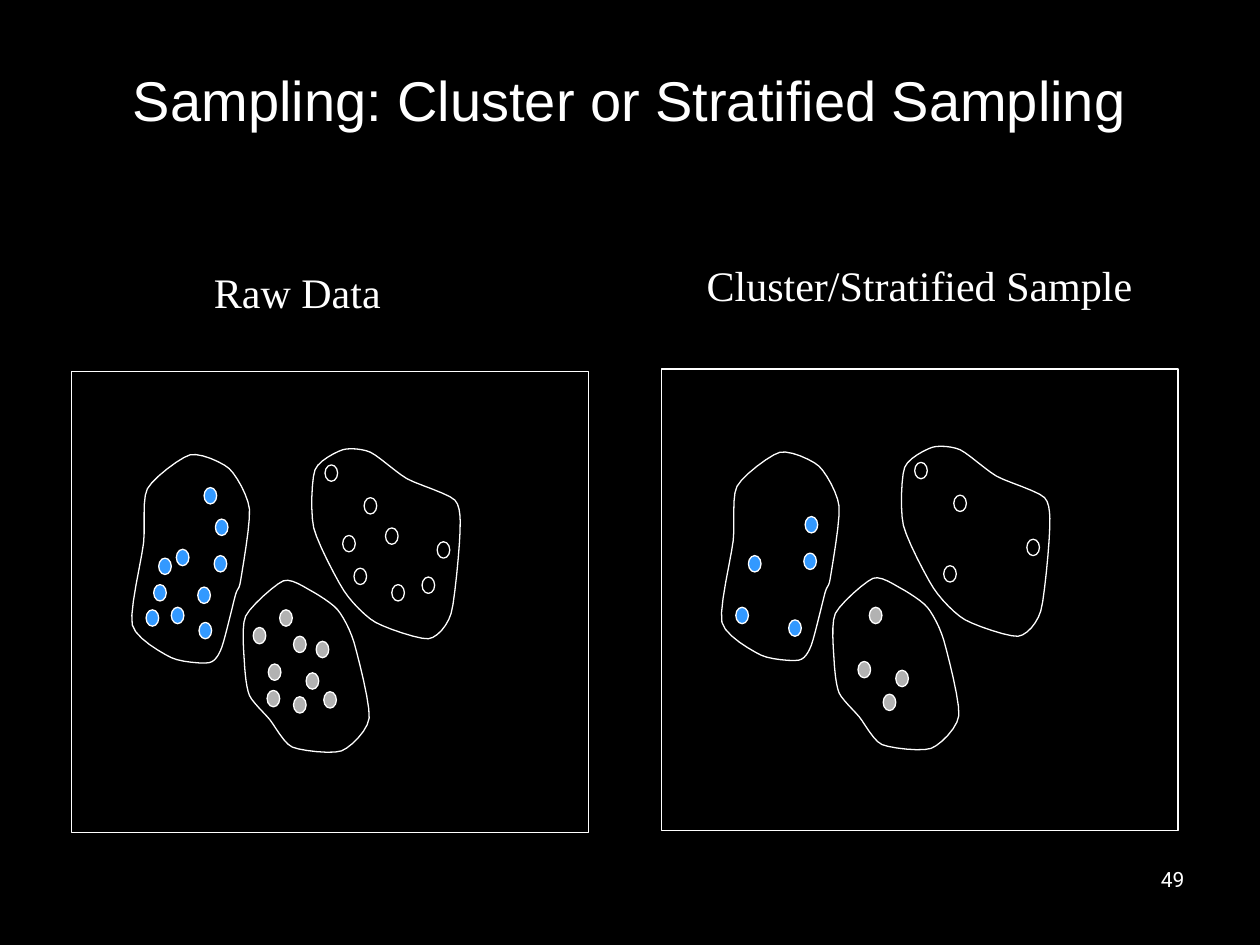
import pptx
import pptx.util
import pptx.dml.color
import pptx.enum.shapes
import pptx.enum.text

Inches = pptx.util.Inches
Kind = pptx.enum.shapes.MSO_SHAPE
Align = pptx.enum.text.PP_ALIGN

COLORS = {"back": "000000", "line": "FFFFFF", "text": "FFFFFF",
          "blue": "3399FF", "gray": "B2B2B2", "black": "000000"}

TITLE = "Sampling: Cluster or Stratified Sampling"
LABELS = [
    ("Raw Data", (1.6, 2.07, 1.6, 0.5), 24, "Times New Roman", Align.LEFT, False),
    ("Cluster/Stratified Sample", (5.51, 2.01, 3.58, 0.5), 24, "Times New Roman", Align.LEFT, False),
    ("49", (7.17, 6.83, 2.33, 0.5), 12, "Roboto", Align.RIGHT, True),
]
FRAME = (0.57, 2.95, 4.1, 3.66)
DOT = (0.1, 0.13)
PANELS = [("raw", 0, 0), ("sample", 4.68, -0.02)]

CLUSTERS = [
    {
        "color": "black",
        "sample": [(2.89, 3.95), (2.81, 4.51), (3.47, 4.3), (2.58, 3.69)],
        "rest": [(3.06, 4.19), (2.72, 4.25), (3.35, 4.58), (3.11, 4.64)],
        "edge": [(3.61, 3.97), (3.65, 4.24), (3.58, 4.87), (3.4, 5.07),
                 (2.98, 4.94), (2.73, 4.69), (2.49, 4.19), (2.5, 3.73),
                 (2.72, 3.57), (2.94, 3.59), (3.23, 3.8)],
    },
    {
        "color": "gray",
        "sample": [(2.33, 5.53), (2.43, 5.34), (2.13, 5.27), (2.22, 4.84)],
        "rest": [(2.01, 4.98), (2.51, 5.09), (2.12, 5.48), (2.33, 5.05), (2.57, 5.49)],
        "edge": [(2.14, 5.71), (1.98, 5.52), (1.94, 5.26), (1.95, 4.89),
                 (2.25, 4.61), (2.47, 4.69), (2.68, 4.84), (2.81, 5.1),
                 (2.93, 5.7), (2.71, 5.96), (2.32, 5.93)],
    },
    {
        "color": "blue",
        "sample": [(1.16, 4.84), (1.26, 4.43), (1.58, 4.94), (1.7, 4.41), (1.71, 4.12)],
        "rest": [(1.36, 4.82), (1.22, 4.64), (1.57, 4.66), (1.4, 4.36), (1.62, 3.87)],
        "edge": [(1.87, 4.72), (1.76, 5.14), (1.66, 5.26), (1.36, 5.22),
                 (1.05, 4.96), (1.14, 4.31), (1.17, 3.88), (1.51, 3.61),
                 (1.82, 3.72), (1.98, 4.04), (1.91, 4.61)],
    },
]
STEPS = 6
BEND = 0.35


def color(name):
    return pptx.dml.color.RGBColor.from_string(COLORS[name])


def place(shape, box):
    shape.left, shape.top, shape.width, shape.height = map(Inches, box)


def write(frame, text, size, face, align):
    para = frame.paragraphs[0]
    para.alignment = align
    run = para.add_run()
    run.text = text
    run.font.size = pptx.util.Pt(size)
    run.font.name = face
    run.font.color.rgb = color("text")


def style(shape, fill=None):
    shape.shadow.inherit = False
    if fill:
        shape.fill.solid()
        shape.fill.fore_color.rgb = color(fill)
    else:
        shape.fill.background()
    shape.line.color.rgb = color("line")
    shape.line.width = pptx.util.Pt(0.75)


def blend(a, b, c, d, t):
    rise = t * t * (3 - 2 * t)
    leave = BEND * (c - a) * t * (1 - t) ** 2
    reach = BEND * (d - b) * t * t * (1 - t)
    return b + (c - b) * rise + leave - reach


def smooth(edge):
    count = len(edge)
    points = []
    for i in range(count):
        near = [edge[(i + k) % count] for k in (-1, 0, 1, 2)]
        for step in range(STEPS):
            points.append(tuple(blend(*axis, step / STEPS) for axis in zip(*near)))
    return points


def draw(slide, kind, dx, dy):
    shapes = slide.shapes.add_group_shape().shapes

    def preset(form, x, y, w, h, fill=None):
        box = map(Inches, (x + dx, y + dy, w, h))
        style(shapes.add_shape(form, *box), fill)

    preset(Kind.RECTANGLE, *FRAME)
    for cluster in CLUSTERS:
        dots = cluster["sample"] + (cluster["rest"] if kind == "raw" else [])
        for x, y in dots:
            preset(Kind.FLOWCHART_CONNECTOR, x, y, *DOT, cluster["color"])
        points = [(Inches(x + dx), Inches(y + dy)) for x, y in smooth(cluster["edge"])]
        line = shapes.build_freeform(*points[0])
        line.add_line_segments(points[1:], close=True)
        style(line.convert_to_shape())


def main():
    deck = pptx.Presentation()
    deck.slide_width, deck.slide_height = Inches(10), Inches(7.5)
    slide = deck.slides.add_slide(deck.slide_layouts[5])
    slide.background.fill.solid()
    slide.background.fill.fore_color.rgb = color("back")

    title = slide.shapes.title
    place(title, (0.25, 0.33, 9.5, 0.92))
    title.text_frame.auto_size = pptx.enum.text.MSO_AUTO_SIZE.NONE
    title.text_frame.vertical_anchor = pptx.enum.text.MSO_ANCHOR.MIDDLE
    write(title.text_frame, TITLE, 32, "Arial", Align.CENTER)

    for kind, dx, dy in PANELS:
        draw(slide, kind, dx, dy)
    for text, box, size, face, align, wrap in LABELS:
        frame = slide.shapes.add_textbox(*map(Inches, box)).text_frame
        frame.word_wrap = wrap
        write(frame, text, size, face, align)
    deck.save("out.pptx")


if __name__ == "__main__":
    main()
